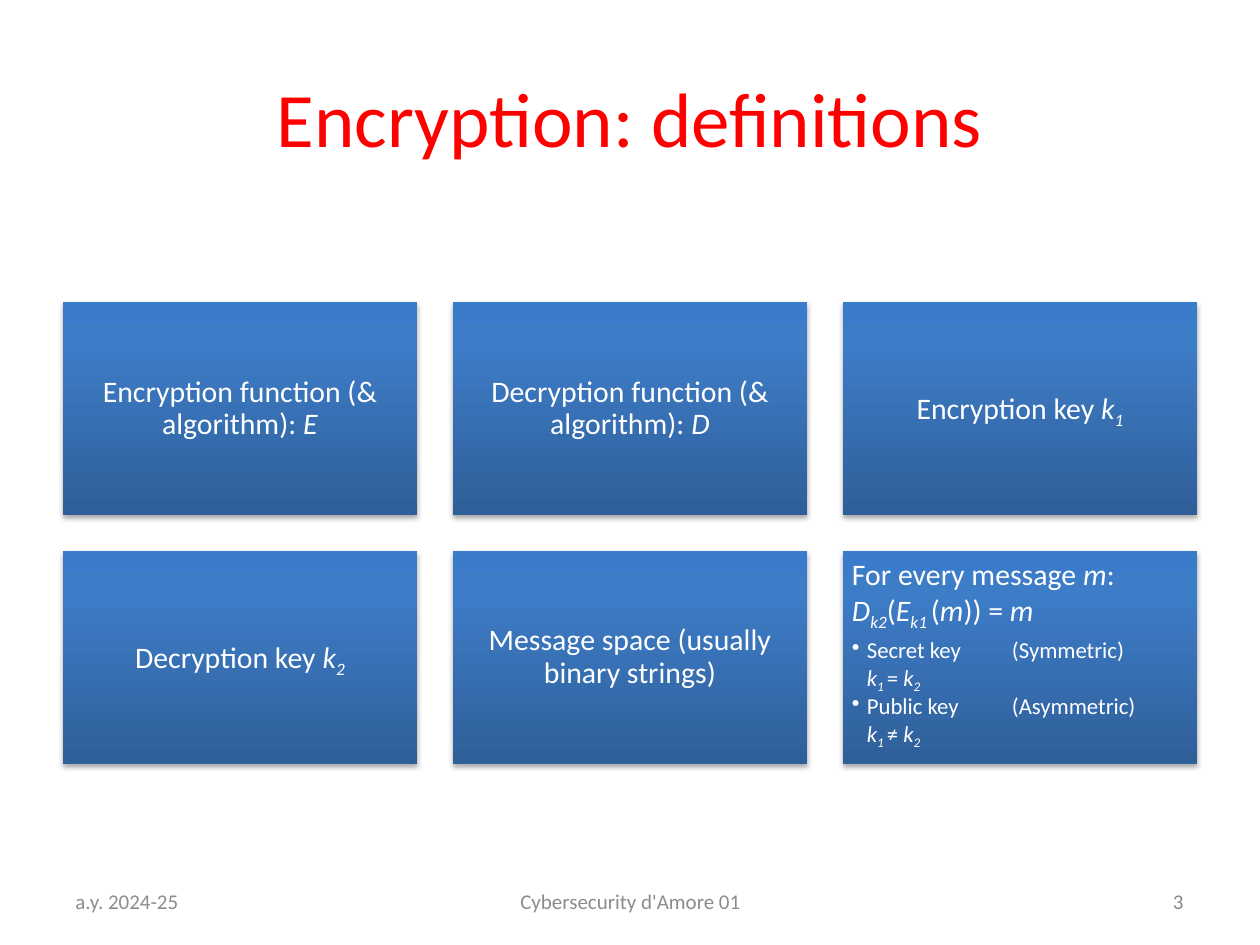
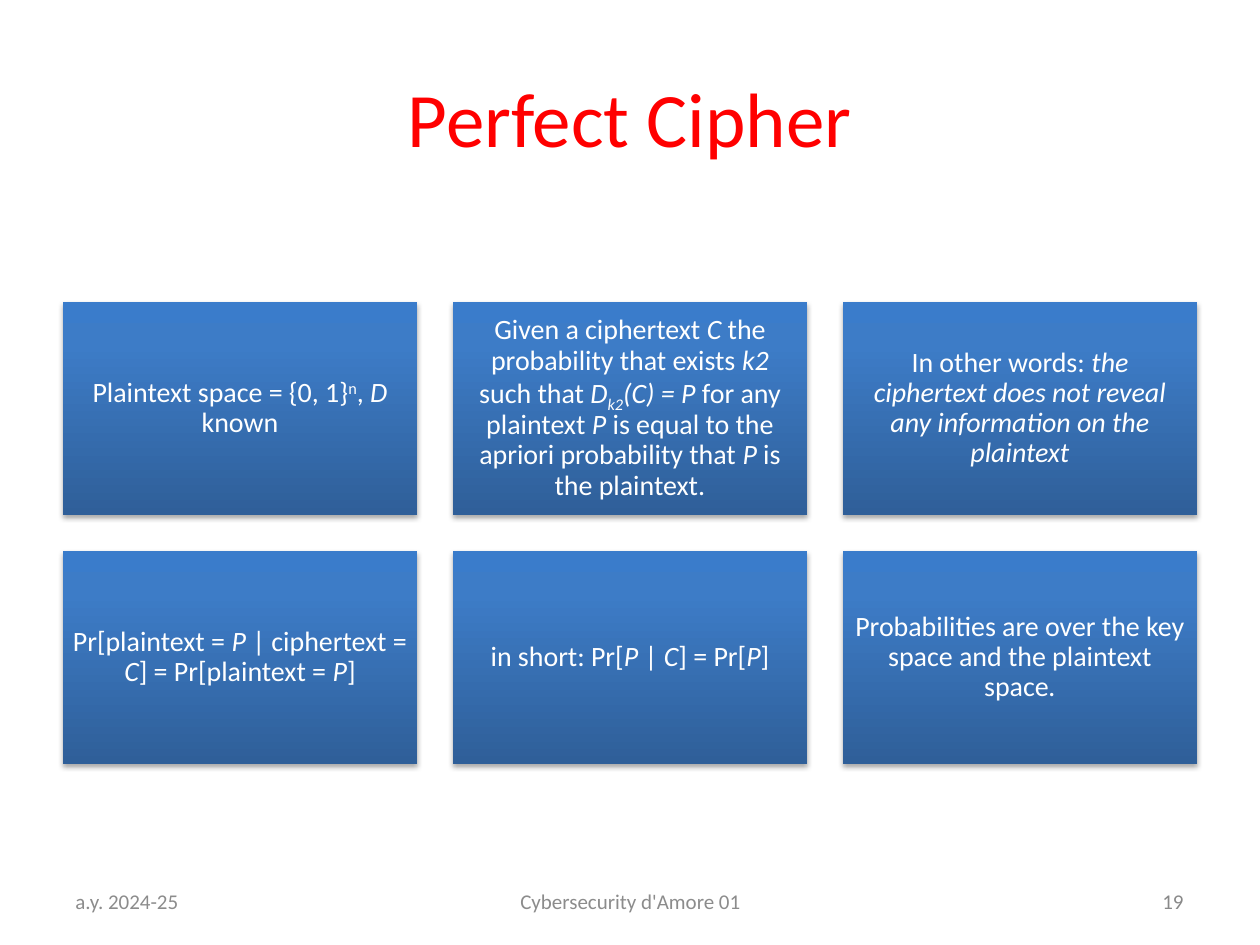
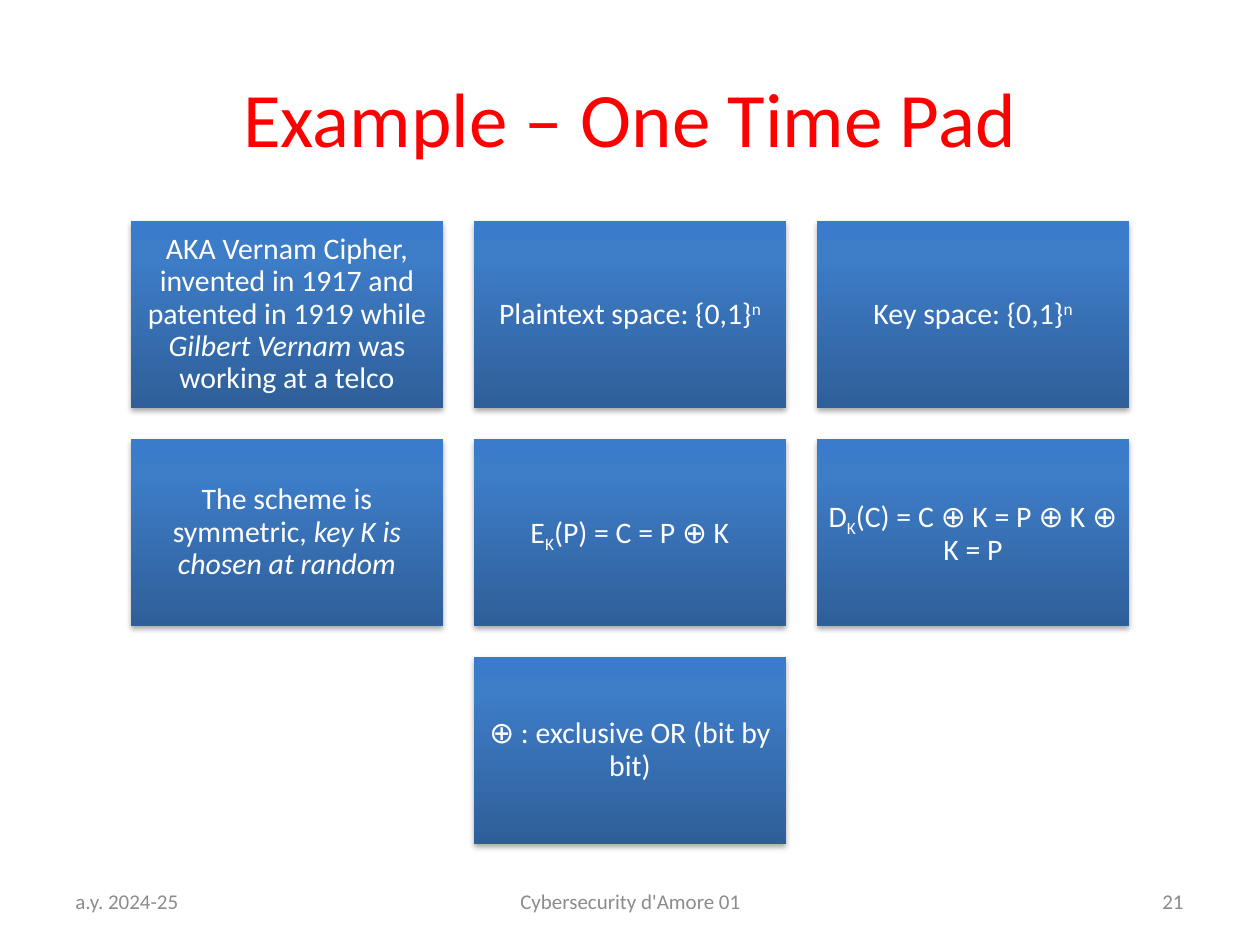
"""Build three cryptography slides: a title, a grid of cards and a footer on each."""
from copy import deepcopy
from dataclasses import dataclass
from typing import NamedTuple

from lxml import etree
from pptx import Presentation
from pptx import util as u
from pptx.dml.color import RGBColor
from pptx.enum import shapes, text
from pptx.oxml.ns import qn

PX = 914400 / 126
LEFT, CENTER, RIGHT = text.PP_ALIGN.LEFT, text.PP_ALIGN.CENTER, text.PP_ALIGN.RIGHT


@dataclass(frozen=True)
class Theme:
    """Colours, type sizes and card effects shared by the slides."""
    font: str = "Calibri"
    title: str = "FF0000"
    footer: str = "8C8C8C"
    number: str = "898989"
    card_text: str = "FFFFFF"
    gradient: tuple = ((0, "2F5F99"), (0.8, "3D7CC7"), (1, "3A7CCB"))
    title_size: int = 44
    footer_size: int = 12
    bullet_size: int = 13


THEME = Theme()


class Run(NamedTuple):
    """A stretch of text with its slant and baseline shift in percent."""
    words: str
    italic: bool = False
    shift: int = 0


class Box(NamedTuple):
    """A rectangle in px."""
    left: int
    top: int
    width: int
    height: int


class Grid(NamedTuple):
    """Card size, spacing and type size; each row is centred on the slide."""
    top: int
    width: int
    height: int
    gap: int
    size: int
    columns: int = 3


@dataclass(frozen=True)
class Card:
    """A card's statement and the bullets that may follow it."""
    statement: tuple[Run, ...]
    bullets: tuple[tuple[Run, ...], ...] = ()


@dataclass(frozen=True)
class Topic:
    """The content of one slide."""
    title: str
    number: int
    grid: Grid
    cards: tuple[Card, ...]


SLIDE = Box(0, 0, 1260, 945)
TITLE = Box(63, 38, 1134, 157)
DATE = Box(63, 876, 293, 50)
COURSE = Box(431, 876, 399, 50)
NUMBER = Box(903, 876, 293, 50)
CARD_INSET = 9
BULLET_INDENT = 15
BULLET_TAB = 80


def emu(px: float) -> u.Emu:
    """Turn px into EMU."""
    return u.Emu(round(px * PX))


def it(words: str) -> Run:
    """Make an italic run."""
    return Run(words, True)


def sub(words: str, italic: bool = True) -> Run:
    """Make a subscript run."""
    return Run(words, italic, -25)


def sup(words: str) -> Run:
    """Make a superscript run."""
    return Run(words, False, 30)


def card(*parts: Run | str, bullets: tuple = ()) -> Card:
    """Make a card from plain strings and styled runs."""
    return Card(tuple(Run(p) if isinstance(p, str) else p for p in parts), bullets)


def key_rule(kind: str, family: str, relation: str) -> tuple[Run, ...]:
    """Make the bullet that relates the two keys of a family of ciphers."""
    return (Run(f"{kind} key\t({family})\t\t"), it("k"), sub("1 "),
            Run(f"{relation} "), it("k"), sub("2"))


def style(run, size: int, color: str) -> None:
    """Give a run its font, size and colour."""
    run.font.name = THEME.font
    run.font.size = u.Pt(size)
    run.font.color.rgb = RGBColor.from_string(color)


def add_label(slide, box: Box, words: str, size: int, color: str, align) -> None:
    """Add a one-line text box."""
    label = slide.shapes.add_textbox(*map(emu, box))
    frame = label.text_frame
    frame.word_wrap = True
    frame.vertical_anchor = text.MSO_ANCHOR.MIDDLE
    frame.text = words
    line = frame.paragraphs[0]
    line.alignment = align
    style(line.runs[0], size, color)


def fill_paragraph(paragraph, runs: tuple[Run, ...], size: int, align, after: int) -> None:
    """Write styled runs into a card's paragraph."""
    paragraph.alignment = align
    paragraph.line_spacing = 0.9
    paragraph.space_after = u.Pt(after)
    for part in runs:
        run = paragraph.add_run()
        run.text = part.words
        style(run, size, THEME.card_text)
        run.font.italic = part.italic
        if part.shift:
            run._r.get_or_add_rPr().set("baseline", str(part.shift * 1000))


def add_bullet(paragraph) -> None:
    """Give a paragraph a hanging bullet and its tab spacing."""
    paragraph.level = 1
    props = paragraph._p.get_or_add_pPr()
    props.set("marL", str(emu(BULLET_INDENT)))
    props.set("indent", str(-emu(BULLET_INDENT)))
    props.set("defTabSz", str(emu(BULLET_TAB)))
    etree.SubElement(props, qn("a:buChar")).set("char", "•")


def paint_card(panel) -> None:
    """Give a card its gradient and soft shadow."""
    panel.line.fill.background()
    panel.fill.gradient()
    panel.fill.gradient_angle = 90
    props = panel._element.spPr
    stops = props.find(f".//{qn('a:gsLst')}")
    stops.append(deepcopy(stops[0]))
    for stop, (position, color) in zip(panel.fill.gradient_stops, THEME.gradient):
        stop.position = position
        stop.color.rgb = RGBColor.from_string(color)
    panel.shadow.inherit = False
    shadow = etree.SubElement(props.find(qn("a:effectLst")), qn("a:outerShdw"),
                              blurRad="40000", dist="23000", dir="5400000", rotWithShape="0")
    black = etree.SubElement(shadow, qn("a:srgbClr"), val="000000")
    etree.SubElement(black, qn("a:alpha"), val="35000")


def add_card(slide, box: Box, content: Card, size: int) -> None:
    """Draw a card with its statement and bullets."""
    panel = slide.shapes.add_shape(shapes.MSO_SHAPE.RECTANGLE, *map(emu, box))
    paint_card(panel)
    frame = panel.text_frame
    frame.word_wrap = True
    frame.margin_left = frame.margin_right = emu(CARD_INSET)
    frame.margin_top = frame.margin_bottom = emu(CARD_INSET)
    anchors = text.MSO_ANCHOR
    frame.vertical_anchor = anchors.TOP if content.bullets else anchors.MIDDLE
    align = LEFT if content.bullets else CENTER
    fill_paragraph(frame.paragraphs[0], content.statement, size, align, 6)
    for runs in content.bullets:
        bullet = frame.add_paragraph()
        add_bullet(bullet)
        fill_paragraph(bullet, runs, THEME.bullet_size, LEFT, 2)


def add_cards(slide, grid: Grid, cards: tuple[Card, ...]) -> None:
    """Lay the cards out in centred rows."""
    for start in range(0, len(cards), grid.columns):
        row = cards[start:start + grid.columns]
        span = len(row) * (grid.width + grid.gap) - grid.gap
        left = (SLIDE.width - span) // 2
        top = grid.top + start // grid.columns * (grid.height + grid.gap)
        for column, content in enumerate(row):
            box = Box(left + column * (grid.width + grid.gap), top, grid.width, grid.height)
            add_card(slide, box, content, grid.size)


def add_topic(deck, topic: Topic) -> None:
    """Add one slide with title, footer and cards."""
    slide = deck.slides.add_slide(deck.slide_layouts[6])
    add_label(slide, TITLE, topic.title, THEME.title_size, THEME.title, CENTER)
    size = THEME.footer_size
    add_label(slide, DATE, "a.y. 2024-25", size, THEME.footer, LEFT)
    add_label(slide, COURSE, "Cybersecurity d'Amore 01", size, THEME.footer, CENTER)
    add_label(slide, NUMBER, str(topic.number), size, THEME.number, RIGHT)
    add_cards(slide, topic.grid, topic.cards)


WIDE = Grid(top=302, width=354, height=213, gap=36, size=17)
TOPICS = (
    Topic("Encryption: definitions", 3, WIDE, (
        card("Encryption function (& algorithm): ", it("E")),
        card("Decryption function (& algorithm): ", it("D")),
        card("Encryption key ", it("k"), sub("1")),
        card("Decryption key ", it("k"), sub("2")),
        card("Message space (usually binary strings)"),
        card("For every message ", it("m"), ": ", it("D"), sub("k2"), "(", it("E"),
             sub("k1 "), "(", it("m"), ")) = ", it("m"),
             bullets=(key_rule("Secret", "Symmetric", "="),
                      key_rule("Public", "Asymmetric", "≠"))),
    )),
    Topic("Perfect Cipher", 19, WIDE._replace(size=16), (
        card("Plaintext space = {0, 1}", sup("n"), ", ", it("D"), " known"),
        card("Given a ciphertext ", it("C"), " the probability that exists ", it("k2"),
             " such that ", it("D"), sub("k2"), it("(C) = P"), " for any plaintext ",
             it("P"), " is equal to the apriori probability that ", it("P"),
             " is the plaintext."),
        card("In other words: ",
             it("the ciphertext does not reveal any information on the plaintext")),
        card("Pr[plaintext = ", it("P"), " | ciphertext = ", it("C"),
             "] = Pr[plaintext = ", it("P"), "]"),
        card("in short: Pr[", it("P"), " | ", it("C"), "] = Pr[", it("P"), "]"),
        card("Probabilities are over the key space and the plaintext space", it(".")),
    )),
    Topic("Example – One Time Pad", 21, Grid(top=221, width=312, height=187, gap=31, size=17), (
        card("AKA Vernam Cipher, invented in 1917 and patented in 1919 while ",
             it("Gilbert Vernam"), " was working at a telco"),
        card("Plaintext space: {0,1}", sup("n")),
        card("Key space: {0,1}", sup("n")),
        card("The scheme is symmetric, ", it("key K is chosen at random")),
        card("E", sub("K", False), "(P) = C = P ⊕ K"),
        card("D", sub("K", False), "(C) = C ⊕ K = P ⊕ K ⊕ K = P"),
        card("⊕ : exclusive OR (bit by bit)"),
    )),
)


def main() -> None:
    """Build and save the deck."""
    deck = Presentation()
    deck.slide_width, deck.slide_height = emu(SLIDE.width), emu(SLIDE.height)
    for topic in TOPICS:
        add_topic(deck, topic)
    deck.save("out.pptx")


if __name__ == "__main__":
    main()
